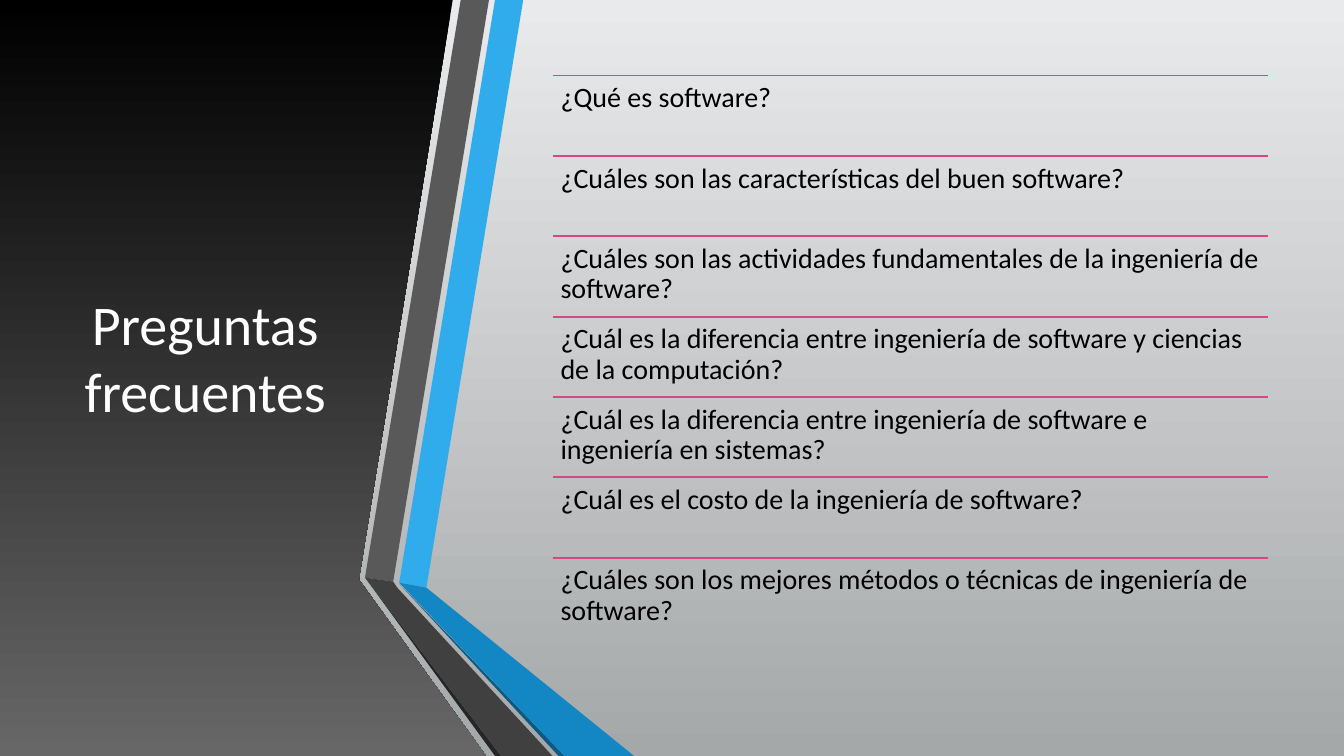
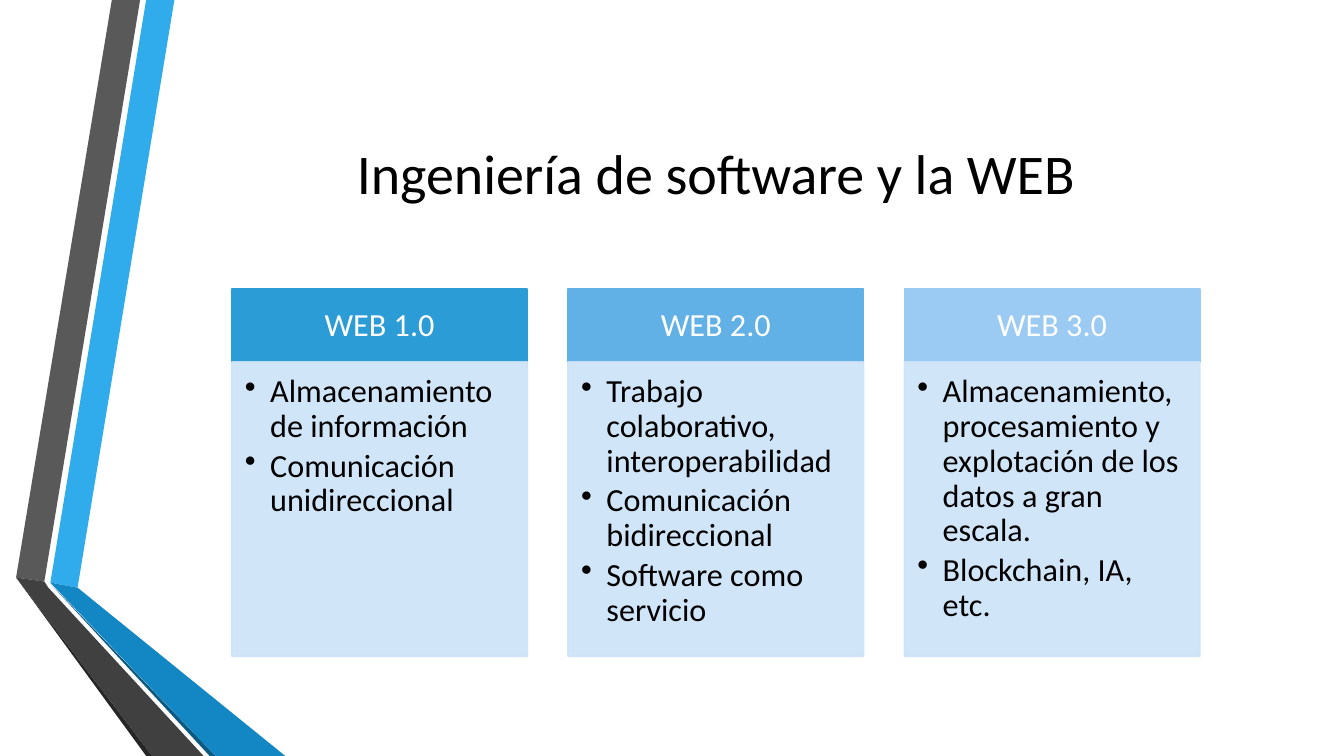
"""Build two slides on software engineering: frequent questions and web generations."""
import lxml.etree
import pptx
import pptx.dml.color
import pptx.enum.shapes
import pptx.enum.text
import pptx.oxml.ns
import pptx.util

Inches = pptx.util.Inches
Pt = pptx.util.Pt
RGBColor = pptx.dml.color.RGBColor
qn = pptx.oxml.ns.qn
PP_ALIGN = pptx.enum.text.PP_ALIGN
MSO_ANCHOR = pptx.enum.text.MSO_ANCHOR

FONT = "Calibri"
BLACK = RGBColor(0x00, 0x00, 0x00)
WHITE = RGBColor(0xFF, 0xFF, 0xFF)
PALE_GRAY = RGBColor(0xE9, 0xEA, 0xEB)
MID_GRAY = RGBColor(0xA5, 0xA8, 0xA9)
PANEL_GRAY = RGBColor(0x67, 0x67, 0x67)
RULE_PINK = RGBColor(0xD6, 0x47, 0x87)
CARD_BLUE = RGBColor(0xCD, 0xE3, 0xF8)
HEADER_BLUES = (
    RGBColor(0x2C, 0x9C, 0xD6),
    RGBColor(0x61, 0xB1, 0xE6),
    RGBColor(0x9B, 0xCA, 0xF2),
)

RIBBON = (
    (RGBColor(0x30, 0xAC, 0xEC), ((0.5, 5.78), (0.77, 5.83), (1.73, 0), (1.45, 0))),
    (RGBColor(0x59, 0x59, 0x59), ((1.39, 0), (1.11, 0), (0.16, 5.73), (0.44, 5.77))),
    (RGBColor(0x26, 0x26, 0x26), ((0.16, 5.73), (1.45, 7.5), (1.51, 7.5))),
    (RGBColor(0x0C, 0x5A, 0x82), ((0.5, 5.79), (2.08, 7.5), (2.14, 7.5))),
    (RGBColor(0x12, 0x87, 0xC3), ((0.5, 5.78), (2.14, 7.5), (2.83, 7.5), (0.77, 5.83))),
    (RGBColor(0x40, 0x40, 0x40),
     ((2.02, 7.5), (0.48, 5.83), (0.44, 5.77), (0.16, 5.73), (1.51, 7.5))),
)
PANEL = ((0, 0), (4.49, 0), (3.56, 5.75), (4.82, 7.5), (0, 7.5))
RIBBON_SHIFT = 3.46

QUESTIONS = (
    "¿Qué es software?",
    "¿Cuáles son las características del buen software?",
    "¿Cuáles son las actividades fundamentales de la ingeniería de software?",
    "¿Cuál es la diferencia entre ingeniería de software y ciencias de la computación?",
    "¿Cuál es la diferencia entre ingeniería de software e ingeniería en sistemas?",
    "¿Cuál es el costo de la ingeniería de software?",
    "¿Cuáles son los mejores métodos o técnicas de ingeniería de software?",
)
LIST_LEFT, LIST_TOP, LIST_WIDTH, LIST_HEIGHT = 5.48, 0.75, 7.1, 5.58

WEB_GENERATIONS = (
    ("WEB 1.0", ("Almacenamiento de información", "Comunicación unidireccional")),
    ("WEB 2.0", ("Trabajo colaborativo, interoperabilidad",
                 "Comunicación bidireccional", "Software como servicio")),
    ("WEB 3.0", ("Almacenamiento, procesamiento y explotación de los datos a gran escala.",
                 "Blockchain, IA, etc.")),
)
CARDS_LEFT, CARDS_WIDTH, CARD_WIDTH = 2.3, 9.6, 2.93
HEADER_TOP, HEADER_HEIGHT, BODY_HEIGHT = 2.87, 0.72, 2.92


def fill_gradient(fill, top_color, bottom_color):
    """Fill with a vertical gradient."""
    fill.gradient()
    fill.gradient_angle = 270
    for stop, color in zip(fill.gradient_stops, (top_color, bottom_color)):
        stop.color.rgb = color


def add_outline(page, points, shift=0):
    """Add a closed polygon without a line, moved right by shift."""
    corners = [(Inches(x + shift), Inches(y)) for x, y in points]
    builder = page.shapes.build_freeform(*corners[0])
    builder.add_line_segments(corners[1:], close=True)
    shape = builder.convert_to_shape()
    shape.shadow.inherit = False
    shape.line.fill.background()
    return shape


def add_ribbon(page, shift=0):
    """Add the folded gray and blue ribbon."""
    for color, points in RIBBON:
        shape = add_outline(page, points, shift)
        shape.fill.solid()
        shape.fill.fore_color.rgb = color


def add_bullet(para):
    """Give a paragraph a hanging bullet."""
    properties = para._p.get_or_add_pPr()
    properties.set("marL", str(Inches(0.25)))
    properties.set("indent", str(-Inches(0.25)))
    lxml.etree.SubElement(properties, qn("a:buChar")).set("char", "•")


def write_text(shape, texts, size, color, align=PP_ALIGN.LEFT, anchor=MSO_ANCHOR.TOP,
               insets=(0.1, 0.05, 0.1, 0.05), spacing=0.9, bullets=False):
    """Write one paragraph for each text."""
    frame = shape.text_frame
    frame.word_wrap = True
    frame.vertical_anchor = anchor
    frame.margin_left, frame.margin_top, frame.margin_right, frame.margin_bottom = map(
        Inches, insets)
    for index, text in enumerate(texts):
        para = frame.add_paragraph() if index else frame.paragraphs[0]
        if bullets:
            add_bullet(para)
            para.space_after = Pt(3.5)
        para.alignment = align
        para.line_spacing = spacing
        span = para.add_run()
        span.text = text
        span.font.name = FONT
        span.font.size = Pt(size)
        span.font.color.rgb = color


def add_title(page, text, color, place):
    """Add the centred slide title."""
    box = page.shapes.add_textbox(*map(Inches, place))
    write_text(box, [text], 40, color, PP_ALIGN.CENTER, MSO_ANCHOR.MIDDLE, spacing=1.0)


def add_question(page, text, top, height):
    """Add a question below its rule."""
    rule = page.shapes.add_connector(
        pptx.enum.shapes.MSO_CONNECTOR.STRAIGHT,
        Inches(LIST_LEFT), Inches(top), Inches(LIST_LEFT + LIST_WIDTH), Inches(top))
    rule.line.color.rgb = RULE_PINK
    rule.line.width = Pt(1.25)
    lxml.etree.SubElement(rule._element.spPr, qn("a:effectLst"))
    box = page.shapes.add_textbox(*map(Inches, (LIST_LEFT, top, LIST_WIDTH, height)))
    write_text(box, [text], 20, BLACK, insets=(0.08,) * 4)


def add_block(page, place, color, opacity=100):
    """Add a rectangle with fill and line of one colour."""
    block = page.shapes.add_shape(
        pptx.enum.shapes.MSO_SHAPE.RECTANGLE, *map(Inches, place))
    block.shadow.inherit = False
    block.fill.solid()
    block.fill.fore_color.rgb = color
    block.line.color.rgb = color
    block.line.width = Pt(1.25)
    if opacity < 100:
        for paint in block._element.spPr.iter(qn("a:srgbClr")):
            lxml.etree.SubElement(paint, qn("a:alpha")).set("val", str(opacity * 1000))
    return block


def add_card(page, left, heading, points, color):
    """Add a heading block over its bulleted body."""
    header = add_block(page, (left, HEADER_TOP, CARD_WIDTH, HEADER_HEIGHT), color)
    write_text(header, [heading], 23, WHITE, PP_ALIGN.CENTER, MSO_ANCHOR.MIDDLE,
               (0.18, 0.1, 0.18, 0.1))
    body = add_block(
        page, (left, HEADER_TOP + HEADER_HEIGHT, CARD_WIDTH, BODY_HEIGHT), CARD_BLUE, 90)
    write_text(body, points, 23, BLACK, insets=(0.13, 0.13, 0.18, 0.2), bullets=True)


def build_questions(page):
    """Build the slide of frequent questions."""
    fill_gradient(page.background.fill, PALE_GRAY, MID_GRAY)
    fill_gradient(add_outline(page, PANEL).fill, BLACK, PANEL_GRAY)
    add_title(page, "Preguntas frecuentes", WHITE, (0.59, 0.75, 2.89, 5.58))
    add_ribbon(page, RIBBON_SHIFT)
    height = LIST_HEIGHT / len(QUESTIONS)
    for index, question in enumerate(QUESTIONS):
        add_question(page, question, LIST_TOP + index * height, height)


def build_web(page):
    """Build the slide of web generations."""
    add_ribbon(page)
    add_title(page, "Ingeniería de software y la WEB", BLACK, (1.62, 0.75, 10.96, 1.92))
    step = (CARDS_WIDTH - CARD_WIDTH) / (len(WEB_GENERATIONS) - 1)
    for index, (heading, points) in enumerate(WEB_GENERATIONS):
        add_card(page, CARDS_LEFT + index * step, heading, points, HEADER_BLUES[index])


def main():
    """Build and save the deck."""
    deck = pptx.Presentation()
    deck.slide_width = Inches(13.33)
    deck.slide_height = Inches(7.5)
    for build in (build_questions, build_web):
        build(deck.slides.add_slide(deck.slide_layouts[6]))
    deck.save("out.pptx")


if __name__ == "__main__":
    main()
